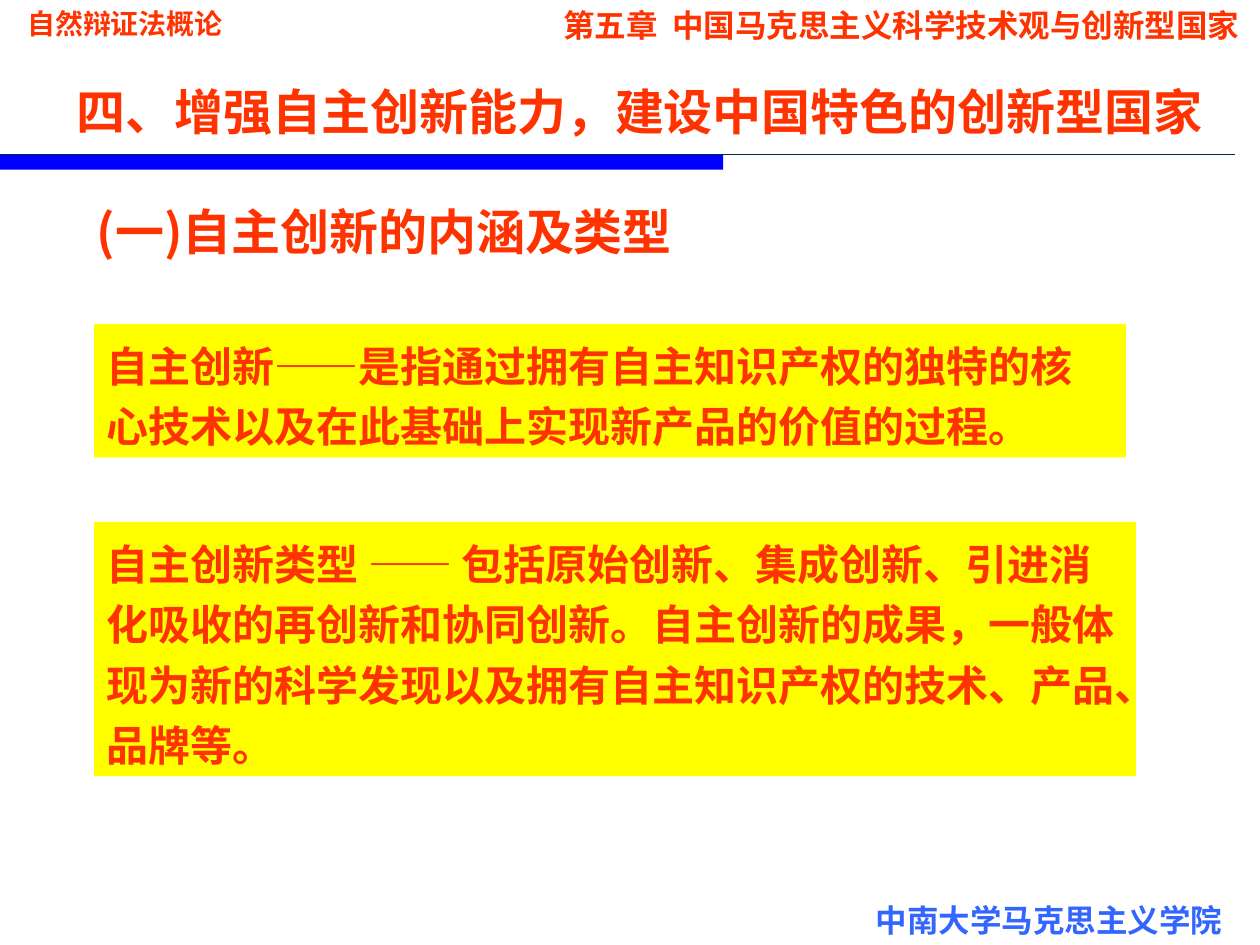
from dataclasses import dataclass

from lxml import etree
from pptx import Presentation
from pptx import util as u
from pptx.dml.color import RGBColor
from pptx.enum import shapes, text
from pptx.oxml.ns import qn


@dataclass(frozen=True)
class Theme:
    red: str = "FF3300"
    blue: str = "3366FF"
    bar: str = "0000FF"
    rule: str = "002850"
    panel: str = "FFFF00"
    latin: str = "Arial"
    chinese: str = "Noto Sans CJK SC"
    small: int = 16
    label: int = 18
    body: int = 24
    title: int = 28


class SlideBuilder:
    def __init__(self, slide, theme):
        self.slide = slide
        self.theme = theme

    def rectangle(self, left, top, width, height, color):
        shape = self.slide.shapes.add_shape(
            shapes.MSO_SHAPE.RECTANGLE, u.Cm(left), u.Cm(top), u.Cm(width), u.Cm(height))
        shape.shadow.inherit = False
        shape.fill.solid()
        shape.fill.fore_color.rgb = RGBColor.from_string(color)
        shape.line.fill.background()
        return shape

    def rule(self, left, top, width, color):
        line = self.slide.shapes.add_connector(
            shapes.MSO_CONNECTOR.STRAIGHT, u.Cm(left), u.Cm(top), u.Cm(left + width), u.Cm(top))
        line.line.color.rgb = RGBColor.from_string(color)
        line.line.width = u.Pt(0.75)
        etree.SubElement(line.element.spPr, qn("a:effectLst"))

    def add_runs(self, shape, runs, size, color, before, spacing=None, indent=0.25):
        frame = shape.text_frame
        frame.word_wrap = True
        frame.vertical_anchor = text.MSO_ANCHOR.TOP
        frame.margin_left = u.Cm(indent)
        paragraph = frame.paragraphs[0]
        paragraph.alignment = text.PP_ALIGN.LEFT
        paragraph.space_before = u.Pt(before)
        paragraph.line_spacing = spacing
        for words, font_name in runs:
            run = paragraph.add_run()
            run.text = words
            run.font.name = font_name
            run.font.size = u.Pt(size)
            run.font.bold = True
            run.font.color.rgb = RGBColor.from_string(color)

    def label(self, left, top, width, height, words, size, color, before,
              font_name=None, indent=0.25):
        box = self.slide.shapes.add_textbox(u.Cm(left), u.Cm(top), u.Cm(width), u.Cm(height))
        self.add_runs(box, [(words, font_name or self.theme.latin)], size, color, before,
                      indent=indent)

    def panel(self, left, top, width, height, runs, before):
        shape = self.rectangle(left, top, width, height, self.theme.panel)
        self.add_runs(shape, runs, self.theme.body, self.theme.red, before, spacing=1.2)


def main():
    theme = Theme()
    presentation = Presentation()
    presentation.slide_width, presentation.slide_height = u.Cm(25.4), u.Cm(19.05)
    slide = presentation.slides.add_slide(presentation.slide_layouts[6])
    builder = SlideBuilder(slide, theme)

    # Header and footer
    builder.label(0.3, 0, 9.6, 0.94, "自然辩证法概论", theme.small, theme.red, 10)
    builder.label(17.4, 18.03, 8, 1.02, "中南大学马克思主义学院", theme.label, theme.blue, 2.2)
    builder.label(10.11, 0, 15.29, 1.02, "第五章  中国马克思主义科学技术观与创新型国家",
                  theme.label, theme.red, 11.2, indent=1.25)

    # Title with its bar and rule
    builder.label(1.3, 1.52, 23.39, 1.45, "四、增强自主创新能力，建设中国特色的创新型国家",
                  theme.title, theme.red, 17.5)
    builder.rectangle(0, 3.12, 14.58, 0.3, theme.bar)
    builder.rule(0, 3.12, 24.89, theme.rule)

    # Section heading
    builder.label(1.7, 3.94, 17.81, 1.45, "(一)自主创新的内涵及类型",
                  theme.title, theme.red, 17.5, theme.chinese)

    # Definition and types
    builder.panel(1.9, 6.53, 20.8, 2.69, [
        ("自主创新——是指通过拥有自主知识产权的独特的核心技术以及在此基础上实现新产品的价值的过程。",
         theme.latin)], 15)
    builder.panel(1.9, 10.52, 21, 5.13, [
        ("自主创新类型 ", theme.chinese),
        ("—— ", theme.latin),
        ("包括原始创新、集成创新、引进消化吸收的再创新和协同创新。"
         "自主创新的成果，一般体现为新的科学发现以及拥有自主知识产权的技术、产品、品牌等。",
         theme.chinese)], 6)

    presentation.save("out.pptx")


if __name__ == "__main__":
    main()
